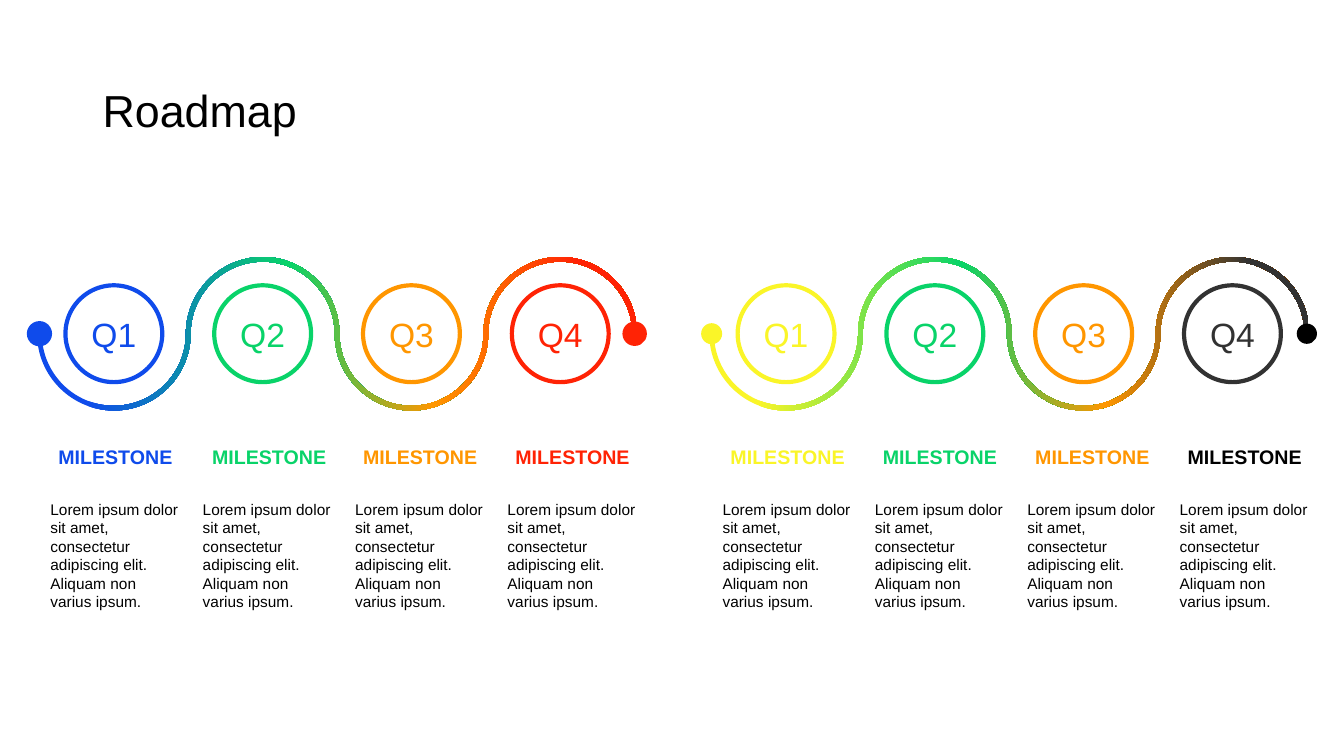
from copy import deepcopy

from pptx import Presentation
from pptx.dml.color import RGBColor
from pptx.enum.shapes import MSO_SHAPE
from pptx.enum.text import MSO_ANCHOR, MSO_AUTO_SIZE, PP_ALIGN
from pptx.oxml.ns import qn
from pptx.util import Cm, Pt

BLUE = RGBColor(0x0F, 0x4B, 0xEB)
GREEN = RGBColor(0x09, 0xD3, 0x69)
ORANGE = RGBColor(0xFF, 0x96, 0x00)
RED = RGBColor(0xFF, 0x23, 0x05)
YELLOW = RGBColor(0xFA, 0xF5, 0x28)
CHARCOAL = RGBColor(0x32, 0x32, 0x32)
BLACK = RGBColor(0, 0, 0)
WHITE = RGBColor(0xFF, 0xFF, 0xFF)

FONT = "Arial"
DESCRIPTION = ("Lorem ipsum dolor sit amet, consectetur adipiscing elit. "
               "Aliquam non varius ipsum.")
FIRST_QUARTER_X = 2.87
QUARTER_Y = 8.41
QUARTER_PITCH = 3.75
QUARTER_SIZE = 2.44
WAVE_RADIUS = QUARTER_PITCH / 2
WAVE_HALF_WIDTH = 0.06
WAVE_STOPS = (0.08, 0.42, 0.66, 0.90)
BEZIER = 0.55
HALF_CIRCLE = ((-1, BEZIER), (-BEZIER, 1), (0, 1),
               (BEZIER, 1), (1, BEZIER), (1, 0))
FIRST_TEXT_X = 1.27
TEXT_PITCH = 3.84
TEXT_WIDTH = 3.28
WIDE_LABEL = 3.35
YEAR_OFFSET = 16.94


def write_text(frame, text, size, color, bold=False, align=PP_ALIGN.LEFT,
               anchor=MSO_ANCHOR.TOP, line_spacing=None, space_before=None):
    frame.word_wrap = True
    frame.auto_size = MSO_AUTO_SIZE.NONE
    frame.vertical_anchor = anchor
    paragraph = frame.paragraphs[0]
    paragraph.alignment = align
    paragraph.line_spacing = line_spacing
    paragraph.space_before = space_before
    run = paragraph.add_run()
    run.text = text
    run.font.name = FONT
    run.font.size = Pt(size)
    run.font.bold = bold
    run.font.color.rgb = color


def add_circle(slide, x, y, size, fill, outline=None):
    circle = slide.shapes.add_shape(
        MSO_SHAPE.OVAL, Cm(x - size / 2), Cm(y - size / 2), Cm(size), Cm(size))
    circle.shadow.inherit = False
    circle.fill.solid()
    circle.fill.fore_color.rgb = fill
    if outline is None:
        circle.line.fill.background()
    else:
        circle.line.color.rgb = outline
        circle.line.width = Pt(3)
    return circle


def wave_edge(first_x, offset):
    points = [(Cm(first_x - WAVE_RADIUS - offset), Cm(QUARTER_Y))]
    for quarter in range(4):
        side = 1 if quarter % 2 == 0 else -1
        radius = WAVE_RADIUS + side * offset
        center = first_x + quarter * QUARTER_PITCH
        points += [(Cm(center + radius * x), Cm(QUARTER_Y + side * radius * y))
                   for x, y in HALF_CIRCLE]
    return points


def merge_into_curves(lines):
    for start in range(0, len(lines), 3):
        first, *others = lines[start:start + 3]
        curve = first.makeelement(qn("a:cubicBezTo"), {})
        first.addprevious(curve)
        for line in (first, *others):
            curve.append(line[0])
            line.getparent().remove(line)


def add_wave(slide, first_x, colors):
    lower = wave_edge(first_x, WAVE_HALF_WIDTH)
    upper = wave_edge(first_x, -WAVE_HALF_WIDTH)[::-1]
    builder = slide.shapes.build_freeform(*lower[0])
    builder.add_line_segments(lower[1:] + upper, close=True)
    wave = builder.convert_to_shape()
    lines = list(wave._element.iter(qn("a:lnTo")))
    merge_into_curves(lines[:len(lower) - 1])
    merge_into_curves(lines[len(lower):])

    wave.shadow.inherit = False
    wave.line.fill.background()
    wave.fill.gradient()
    wave.fill.gradient_angle = 0
    stop_list = wave.fill._fill._gradFill.gsLst
    for stop in list(stop_list):
        stop_list.append(deepcopy(stop))
    for stop, position, color in zip(wave.fill.gradient_stops, WAVE_STOPS, colors):
        stop.position = position
        stop.color.rgb = color


def add_quarter(slide, number, x, color):
    circle = add_circle(slide, x, QUARTER_Y, QUARTER_SIZE, WHITE, color)
    write_text(circle.text_frame, f"Q{number}", 24, color,
               align=PP_ALIGN.CENTER, anchor=MSO_ANCHOR.MIDDLE)


def add_caption(slide, x, y, width, height, text, **text_format):
    caption = slide.shapes.add_textbox(Cm(x), Cm(y), Cm(width), Cm(height))
    frame = caption.text_frame
    frame.margin_left = frame.margin_right = 0
    write_text(frame, text, space_before=Pt(10), **text_format)


def add_year(slide, offset, colors, end_color, dot_outlines, label_widths):
    first_x = FIRST_QUARTER_X + offset
    add_wave(slide, first_x, colors)
    for index, color in enumerate(colors):
        add_quarter(slide, index + 1, first_x + index * QUARTER_PITCH, color)

    wave_start = first_x - WAVE_RADIUS
    wave_end = wave_start + 4 * QUARTER_PITCH
    add_circle(slide, wave_start, QUARTER_Y, 0.53, colors[0], dot_outlines[0])
    add_circle(slide, wave_end, QUARTER_Y, 0.51, end_color, dot_outlines[1])

    label_colors = (*colors[:3], end_color)
    for index, (color, width) in enumerate(zip(label_colors, label_widths)):
        x = FIRST_TEXT_X + offset + index * TEXT_PITCH
        add_caption(slide, x, 11.15, width, 0.84, "MILESTONE", size=14,
                    color=color, bold=True, align=PP_ALIGN.CENTER,
                    line_spacing=0.9)
        add_caption(slide, x, 12.47, TEXT_WIDTH, 3.28, DESCRIPTION, size=11,
                    color=BLACK)


def add_title(slide):
    title = slide.shapes.title
    title.left, title.top = Cm(2.33), Cm(1.01)
    title.width, title.height = Cm(29.21), Cm(3.68)
    write_text(title.text_frame, "Roadmap", 32, BLACK,
               anchor=MSO_ANCHOR.MIDDLE, line_spacing=0.9)


def main():
    presentation = Presentation()
    presentation.slide_width = Cm(33.87)
    presentation.slide_height = Cm(19.05)
    slide = presentation.slides.add_slide(presentation.slide_layouts[5])
    add_title(slide)
    add_year(slide, 0, (BLUE, GREEN, ORANGE, RED), RED, (BLUE, RED),
             (TEXT_WIDTH, WIDE_LABEL, TEXT_WIDTH, TEXT_WIDTH))
    add_year(slide, YEAR_OFFSET, (YELLOW, GREEN, ORANGE, CHARCOAL), BLACK,
             (None, None), (TEXT_WIDTH,) * 4)
    presentation.save("out.pptx")


if __name__ == "__main__":
    main()
